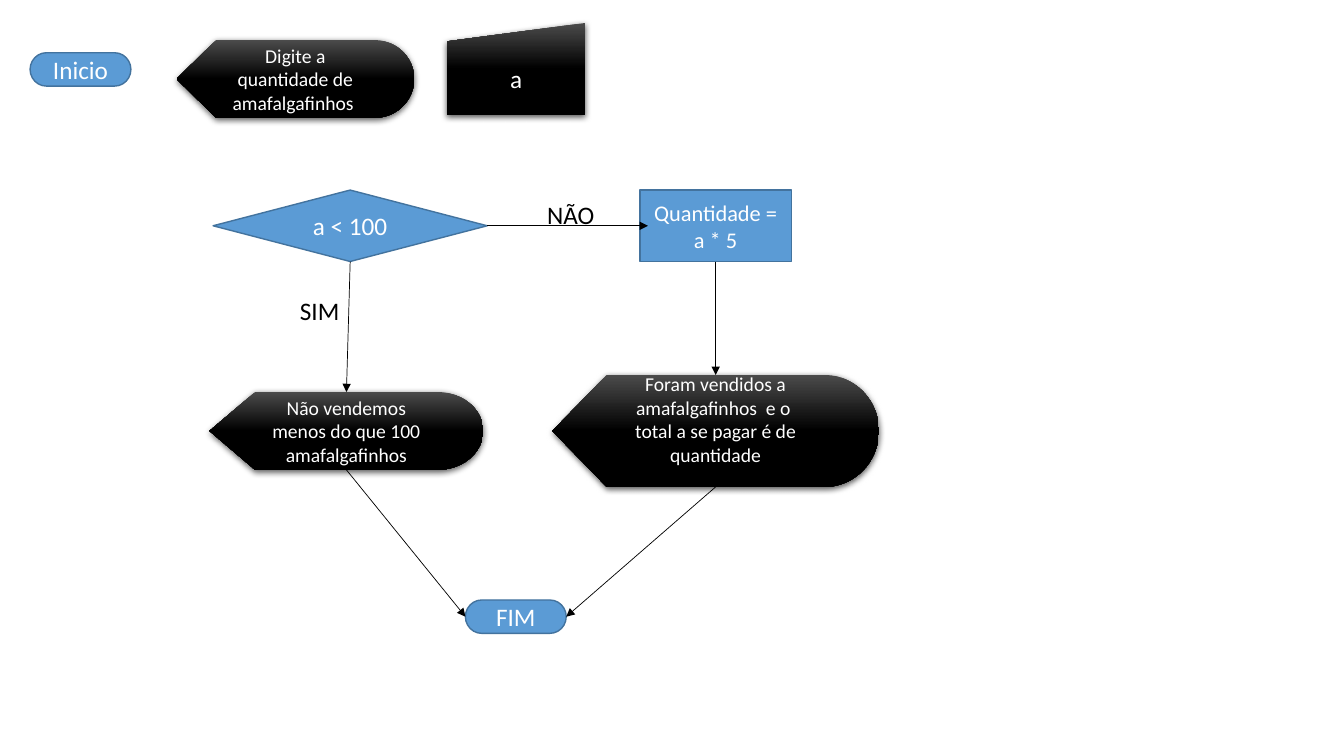
import dataclasses
import typing

import pptx
import pptx.dml.color
import pptx.enum.shapes
import pptx.enum.text
import pptx.oxml
import pptx.oxml.ns
import pptx.util

Cm = pptx.util.Cm
Pt = pptx.util.Pt
RGB = pptx.dml.color.RGBColor.from_string
SHAPE = pptx.enum.shapes.MSO_SHAPE
ALIGN = pptx.enum.text.PP_ALIGN
ANCHOR = pptx.enum.text.MSO_ANCHOR
TOP, LEFT, BOTTOM, RIGHT = range(4)


@dataclasses.dataclass(frozen=True)
class Theme:
    font: str = "Calibri"
    blue: str = "5B9BD5"
    blue_line: str = "43739E"
    gray: str = "4B4B4B"
    black: str = "000000"
    white: str = "FFFFFF"
    large: int = 18
    medium: int = 16
    small: int = 14
    outline: float = 1
    arrow: float = 0.5


THEME = Theme()


@dataclasses.dataclass(frozen=True)
class Node:
    key: str
    kind: typing.Any
    box: tuple[float, float, float, float]  # left, top, width, height in cm
    text: str
    size: int = THEME.large
    dark: bool = False
    insets: tuple[float, float] = (0.13, 0.13)  # top, bottom in cm


@dataclasses.dataclass(frozen=True)
class Arrow:
    start: str
    start_side: int
    end: str
    end_side: int


@dataclasses.dataclass(frozen=True)
class Label:
    text: str
    box: tuple[float, float, float, float]
    wrap: bool


NODES = [
    Node("start", SHAPE.FLOWCHART_TERMINATOR, (0.76, 1.33, 2.54, 0.84), "Inicio"),
    Node("prompt", SHAPE.FLOWCHART_DISPLAY, (4.45, 1.01, 5.99, 1.96),
         "Digite a quantidade de amafalgafinhos ", THEME.small, dark=True),
    Node("input", SHAPE.FLOWCHART_MANUAL_INPUT, (11.27, 0.58, 3.48, 2.31), "a", dark=True),
    Node("total", SHAPE.FLOWCHART_PROCESS, (16.13, 4.79, 3.81, 1.8),
         "Quantidade = a * 5", THEME.medium),
    Node("test", SHAPE.FLOWCHART_DECISION, (5.37, 4.79, 6.91, 1.8), "a < 100"),
    Node("refusal", SHAPE.FLOWCHART_DISPLAY, (5.28, 9.88, 6.9, 1.96),
         "Não vendemos menos do que 100 amafalgafinhos", THEME.small, dark=True),
    Node("end", SHAPE.FLOWCHART_TERMINATOR, (11.73, 15.12, 2.54, 0.84), "FIM"),
    Node("sale", SHAPE.FLOWCHART_DISPLAY, (13.92, 9.45, 8.23, 2.82),
         "Foram vendidos a amafalgafinhos  e o  total a se pagar é de quantidade",
         THEME.small, dark=True, insets=(0, 0.59)),
]

ARROWS = [
    Arrow("test", BOTTOM, "refusal", TOP),
    Arrow("total", BOTTOM, "sale", TOP),
    Arrow("refusal", BOTTOM, "end", LEFT),
    Arrow("sale", BOTTOM, "end", RIGHT),
]

LABELS = [
    Label("NÃO", (13.54, 4.9, 1.7, 1.02), wrap=False),
    Label("SIM", (7.31, 7.32, 1.52, 1.02), wrap=True),
]


def write(tf, text: str, *, size: int, color: str, align=ALIGN.LEFT,
          anchor=ANCHOR.TOP, wrap: bool = True) -> None:
    tf.word_wrap = wrap
    tf.vertical_anchor = anchor
    p = tf.paragraphs[0]
    p.alignment = align
    r = p.add_run()
    r.text = text
    r.font.name = THEME.font
    r.font.size = Pt(size)
    r.font.color.rgb = RGB(color)


def paint_dark(sp) -> None:
    """Vertical gray-to-black gradient with a soft shadow below."""
    sp.fill.gradient()
    sp.fill.gradient_angle = 270
    stops = zip(sp.fill.gradient_stops, (0, 0.5), (THEME.gray, THEME.black))
    for stop, position, color in stops:
        stop.position = position
        stop.color.rgb = RGB(color)
    sp.line.fill.background()
    effects = sp._element.spPr.find(pptx.oxml.ns.qn("a:effectLst"))
    effects.append(pptx.oxml.parse_xml(
        f'<a:outerShdw {pptx.oxml.ns.nsdecls("a")} blurRad="{Pt(4.5)}" '
        f'dist="{Pt(1.5)}" dir="5400000" algn="ctr" rotWithShape="0">'
        f'<a:srgbClr val="{THEME.black}"><a:alpha val="63000"/></a:srgbClr>'
        '</a:outerShdw>'))


def paint_blue(sp) -> None:
    sp.fill.solid()
    sp.fill.fore_color.rgb = RGB(THEME.blue)
    sp.line.color.rgb = RGB(THEME.blue_line)
    sp.line.width = Pt(THEME.outline)


def add_node(s, node: Node):
    sp = s.shapes.add_shape(node.kind, *map(Cm, node.box))
    sp.shadow.inherit = False
    if node.dark:
        paint_dark(sp)
    else:
        paint_blue(sp)
    tf = sp.text_frame
    tf.margin_top, tf.margin_bottom = map(Cm, node.insets)
    write(tf, node.text, size=node.size, color=THEME.white,
          align=ALIGN.CENTER, anchor=ANCHOR.MIDDLE)
    return sp


def add_line(s, end_x: float = 0, end_y: float = 0):
    """Thin black connector with a triangle at its end."""
    cn = s.shapes.add_connector(pptx.enum.shapes.MSO_CONNECTOR.STRAIGHT,
                                0, 0, Cm(end_x), Cm(end_y))
    cn.line.color.rgb = RGB(THEME.black)
    cn.line.width = Pt(THEME.arrow)
    ns = pptx.oxml.ns.nsdecls("a")
    cn.line._get_or_add_ln().append(
        pptx.oxml.parse_xml(f'<a:tailEnd {ns} type="triangle"/>'))
    cn._element.spPr.append(pptx.oxml.parse_xml(f'<a:effectLst {ns}/>'))
    return cn


def main() -> None:
    prs = pptx.Presentation()
    prs.slide_width, prs.slide_height = Cm(33.87), Cm(19.05)
    s = prs.slides.add_slide(prs.slide_layouts[6])

    # Flowchart steps
    steps = {node.key: add_node(s, node) for node in NODES}

    # Arrows between steps
    for arrow in ARROWS:
        cn = add_line(s)
        cn.begin_connect(steps[arrow.start], arrow.start_side)
        cn.end_connect(steps[arrow.end], arrow.end_side)

    # The "no" branch, whose tip lies just inside the process box
    add_line(s, 16.33, 5.69).begin_connect(steps["test"], RIGHT)

    # Branch labels
    for label in LABELS:
        tb = s.shapes.add_textbox(*map(Cm, label.box))
        write(tb.text_frame, label.text, size=THEME.large,
              color=THEME.black, wrap=label.wrap)

    prs.save("out.pptx")


if __name__ == "__main__":
    main()
